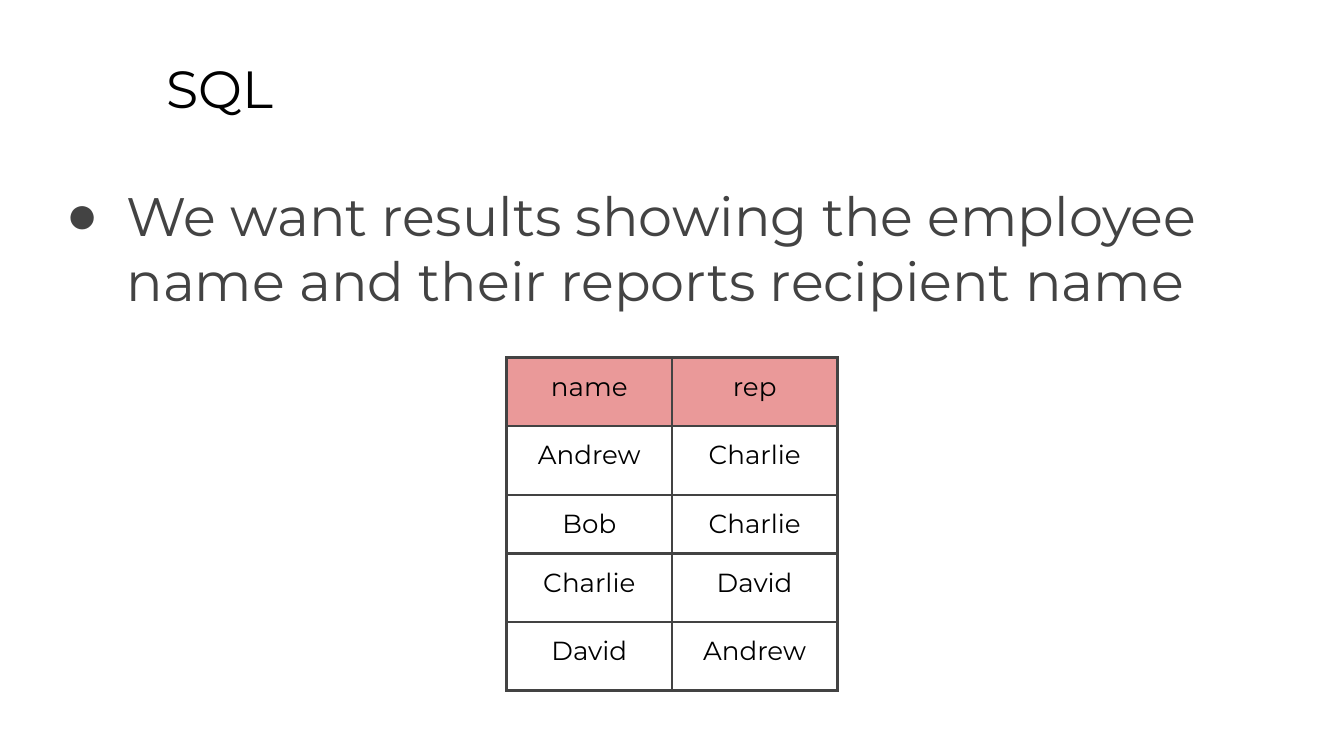
from dataclasses import dataclass

from lxml.etree import SubElement
from pptx import Presentation
from pptx.dml.color import RGBColor
from pptx.enum.text import MSO_ANCHOR, MSO_AUTO_SIZE, PP_ALIGN
from pptx.oxml.ns import qn
from pptx.util import Inches, Pt


@dataclass(frozen=True)
class Theme:
    font: str = "Montserrat"
    bullet_font: str = "Arial"
    ink: str = "000000"
    grey: str = "434343"
    header: str = "EA9999"
    title_size: int = 28
    body_size: int = 29
    table_size: int = 14
    border: float = 1.5
    inset: float = 0.1


class SlideBuilder:
    def __init__(self, deck, theme):
        self.deck = deck
        self.theme = theme
        self.page = deck.slides.add_slide(deck.slide_layouts[1])

    def across(self, share):
        return round(self.deck.slide_width * share)

    def down(self, share):
        return round(self.deck.slide_height * share)

    def style(self, para, size, colour, align=PP_ALIGN.LEFT):
        para.alignment = align
        para.font.name = self.theme.font
        para.font.size = Pt(size)
        para.font.color.rgb = RGBColor.from_string(colour)

    def place(self, box, left, top, width, height, text):
        box.left, box.width = self.across(left), self.across(width)
        box.top, box.height = self.down(top), self.down(height)
        frame = box.text_frame
        frame.text = text
        frame.word_wrap = True
        frame.auto_size = MSO_AUTO_SIZE.NONE
        frame.vertical_anchor = MSO_ANCHOR.TOP
        inset = Inches(self.theme.inset)
        frame.margin_left = frame.margin_right = inset
        frame.margin_top = frame.margin_bottom = inset
        return frame.paragraphs

    def title(self, text, *area):
        para = self.place(self.page.shapes.title, *area, text)[0]
        self.style(para, self.theme.title_size, self.theme.ink)

    def bullets(self, items, *area):
        body = self.page.placeholders[1]
        for para in self.place(body, *area, "\n".join(items)):
            self.style(para, self.theme.body_size, self.theme.grey)
            para.space_before = Pt(0)
            properties = para._p.get_or_add_pPr()
            properties.set("marL", str(Inches(0.5)))
            properties.set("indent", str(Inches(-0.45)))
            colour = properties.makeelement(qn("a:buClr"), {})
            SubElement(colour, qn("a:srgbClr"), val=self.theme.grey)
            face = properties.makeelement(
                qn("a:buFont"), {"typeface": self.theme.bullet_font})
            mark = properties.makeelement(qn("a:buChar"), {"char": "●"})
            spacing = properties.find(qn("a:spcBef"))
            for element in (mark, face, colour):
                spacing.addnext(element)

    def outline(self, cell):
        properties = cell._tc.get_or_add_tcPr()
        for index, side in enumerate(("lnL", "lnR", "lnT", "lnB")):
            line = properties.makeelement(
                qn(f"a:{side}"), {"w": str(Pt(self.theme.border))})
            fill = SubElement(line, qn("a:solidFill"))
            SubElement(fill, qn("a:srgbClr"), val=self.theme.grey)
            properties.insert(index, line)

    def table(self, records, left, top, width, row_heights):
        table = self.page.shapes.add_table(
            len(records), len(records[0]), self.across(left), self.down(top),
            self.across(width), self.down(sum(row_heights))).table
        table.first_row = table.horz_banding = False
        inset = Inches(self.theme.inset)
        for row, (record, height) in enumerate(zip(records, row_heights)):
            table.rows[row].height = self.down(height)
            for column, text in enumerate(record):
                cell = table.cell(row, column)
                cell.text = text
                cell.margin_left = cell.margin_right = inset
                cell.margin_top = cell.margin_bottom = inset
                if row == 0:
                    cell.fill.solid()
                    cell.fill.fore_color.rgb = RGBColor.from_string(
                        self.theme.header)
                else:
                    cell.fill.background()
                self.outline(cell)
                self.style(cell.text_frame.paragraphs[0],
                           self.theme.table_size, self.theme.ink,
                           PP_ALIGN.CENTER)


REPORTS = [
    ("name", "rep"),
    ("Andrew", "Charlie"),
    ("Bob", "Charlie"),
    ("Charlie", "David"),
    ("David", "Andrew"),
]
TALL, SHORT = Inches(0.51) / Inches(5.62), 0.06

deck = Presentation()
deck.slide_width = Inches(10)
deck.slide_height = deck.slide_width * 9 // 16
slide = SlideBuilder(deck, Theme())
slide.title("SQL", 0.114, 0.057, 0.852, 0.112)
slide.bullets(
    ["We want results showing the employee name "
     "and their reports recipient name"],
    0.034, 0.224, 0.95, 0.665)
slide.table(REPORTS, 0.377, 0.473, 0.246, [TALL, TALL, SHORT, TALL, TALL])
deck.save("out.pptx")
